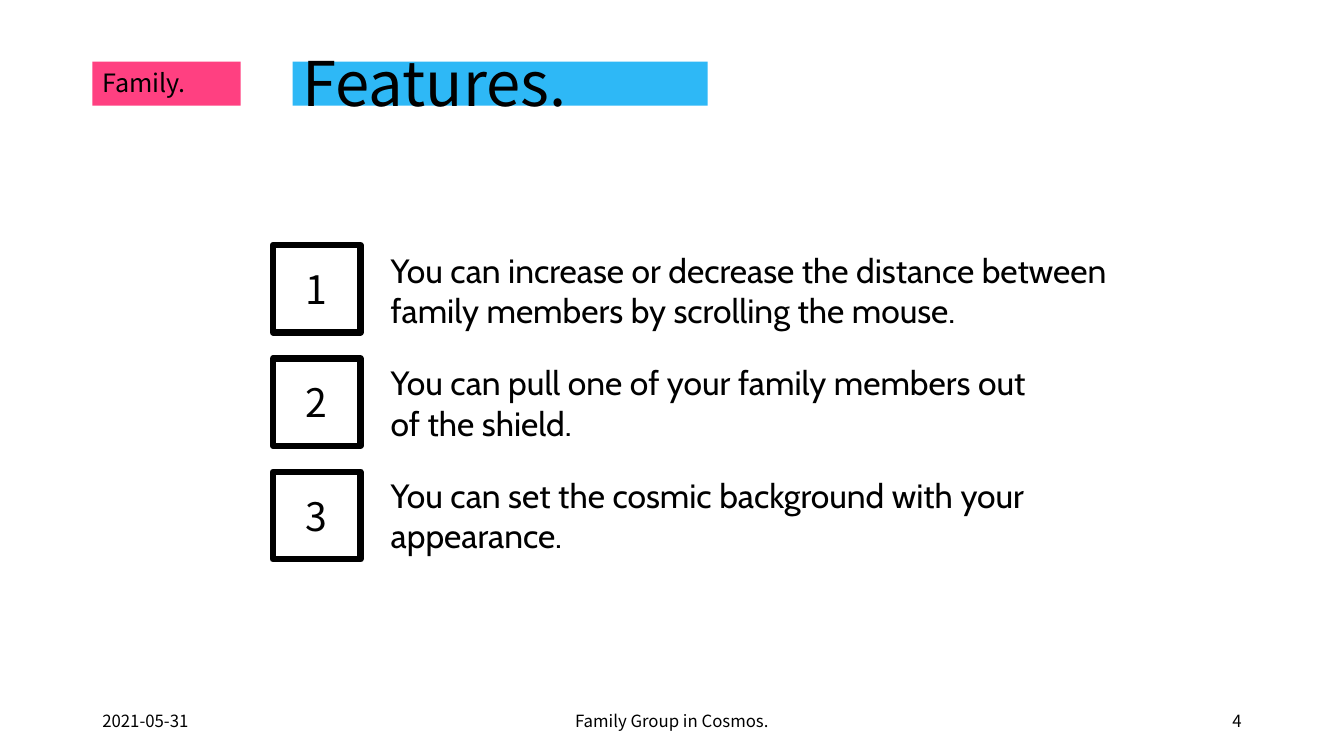
from pptx import Presentation
from pptx.dml.color import RGBColor
from pptx.enum.shapes import MSO_SHAPE
from pptx.enum.text import MSO_ANCHOR, PP_ALIGN
from pptx.util import Pt

HUES = {"ink": "000000", "paper": "FFFFFF", "pink": "FF4081", "blue": "2EB8F6"}
SANS, BODY = "Noto Sans CJK KR", "Cabin"


class Deck:
    """Holds the style and the current slide."""

    def __init__(self):
        self.file = Presentation()
        self.file.slide_width, self.file.slide_height = Pt(960), Pt(540)
        self.slide = self.file.slides.add_slide(self.file.slide_layouts[6])
        fill = self.slide.background.fill
        fill.solid()
        fill.fore_color.rgb = self.hue("paper")

    def hue(self, name):
        return RGBColor.from_string(HUES[name])

    def label(self, shape, words, size, face=SANS, align=PP_ALIGN.LEFT,
              anchor=MSO_ANCHOR.MIDDLE, lead=1.0):
        frame = shape.text_frame
        frame.word_wrap = True
        frame.vertical_anchor = anchor
        para = frame.paragraphs[0]
        para.text = words
        para.alignment = align
        para.line_spacing = lead
        para.font.name, para.font.size = face, Pt(size)
        para.font.color.rgb = self.hue("ink")

    def text(self, area, words, size, **style):
        box = self.slide.shapes.add_textbox(*map(Pt, area))
        self.label(box, words, size, **style)

    def rect(self, area):
        shape = self.slide.shapes.add_shape(MSO_SHAPE.RECTANGLE, *map(Pt, area))
        shape.shadow.inherit = False
        return shape

    def bar(self, area, color):
        shape = self.rect(area)
        shape.fill.solid()
        shape.fill.fore_color.rgb = self.hue(color)
        shape.line.fill.background()

    def badge(self, area, words):
        shape = self.rect(area)
        shape.fill.background()
        shape.line.color.rgb = self.hue("ink")
        shape.line.width = Pt(4.5)
        self.label(shape, words, 28, align=PP_ALIGN.CENTER)


def main():
    deck = Deck()
    deck.bar((66, 44, 106, 31.5), "pink")
    deck.bar((209, 44, 296.5, 31.5), "blue")
    deck.text((209, 28.75, 685, 66), "Features.", 44, lead=0.9)
    deck.text((66, 28.75, 131, 66), "Family.", 18, lead=0.7)

    feats = [
        ("You can increase or decrease the distance between family members "
         "by scrolling the mouse.", 535),
        ("You can pull one of your family members out of the shield.", 492.5),
        ("You can set the cosmic background with your appearance.", 492.5),
    ]
    for i, (words, width) in enumerate(feats):
        deck.text((272, 175 + 80.25 * i, width, 65.5), words, 24,
                  face=BODY, anchor=MSO_ANCHOR.TOP)
        deck.badge((195, 175 + 81 * i, 62.5, 62.5), str(i + 1))

    foot = [
        (66, 216, "2021-05-31", PP_ALIGN.LEFT),
        (318, 324, "Family Group in Cosmos.", PP_ALIGN.CENTER),
        (678, 216, "4", PP_ALIGN.RIGHT),
    ]
    for left, width, words, align in foot:
        deck.text((left, 500.5, width, 28.75), words, 12, align=align)
    deck.file.save("out.pptx")


if __name__ == "__main__":
    main()
